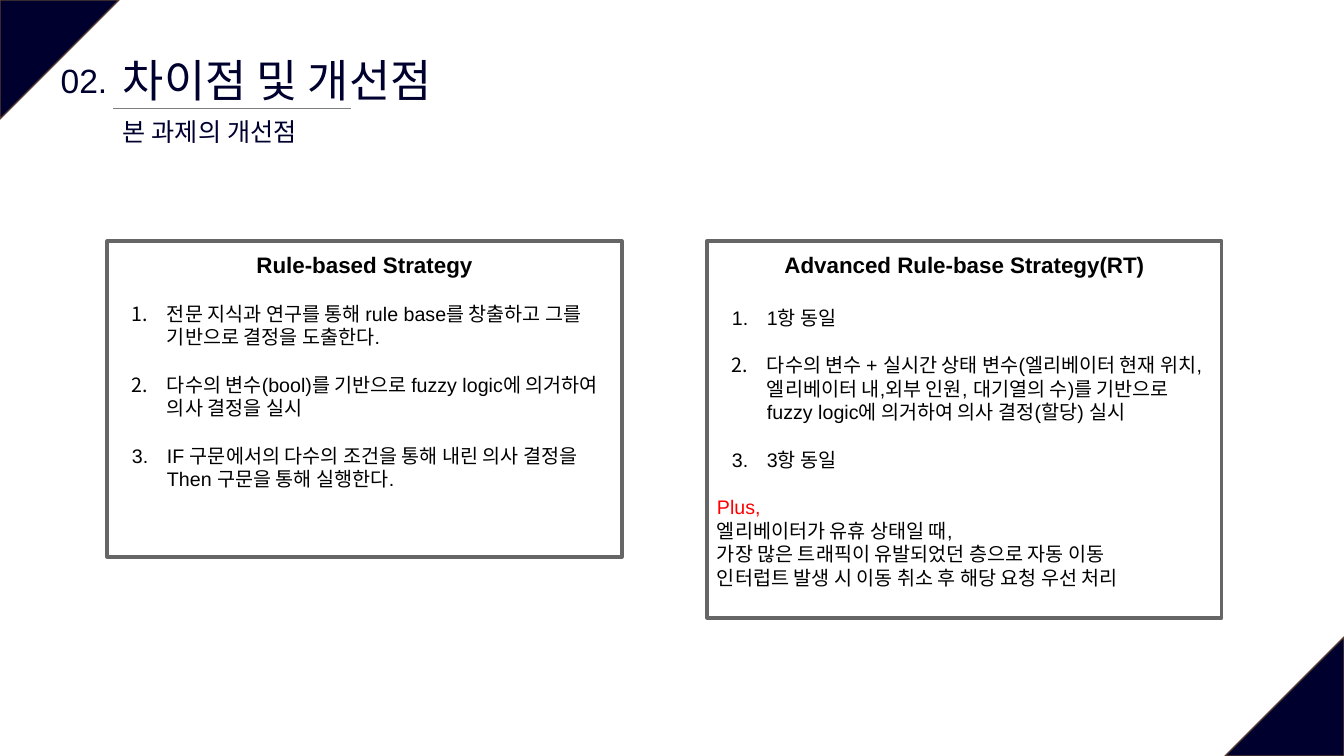
from dataclasses import dataclass

from lxml.etree import SubElement
from pptx import Presentation
from pptx.dml.color import RGBColor
from pptx.enum.shapes import MSO_CONNECTOR, MSO_SHAPE
from pptx.enum.text import MSO_ANCHOR, PP_ALIGN
from pptx.oxml.ns import qn
from pptx.util import Emu, Pt

NUMBER = "02."
TITLE = "차이점 및 개선점"
SUBTITLE = "본 과제의 개선점"
STRATEGIES = [
    {
        "heading": "Rule-based Strategy",
        "height": 316,
        "heading_gap": 17,
        "rules": [
            "전문 지식과 연구를 통해 rule base를 창출하고 그를 기반으로 결정을 도출한다.",
            "다수의 변수(bool)를 기반으로 fuzzy logic에 의거하여 의사 결정을 실시",
            "IF 구문에서의 다수의 조건을 통해 내린 의사 결정을 Then 구문을 통해 실행한다.",
        ],
        "plus": [],
    },
    {
        "heading": "Advanced Rule-base Strategy(RT)",
        "height": 377,
        "heading_gap": 20,
        "rules": [
            "1항 동일",
            "다수의 변수 + 실시간 상태 변수(엘리베이터 현재 위치, 엘리베이터 내,외부 인원, "
            "대기열의 수)를 기반으로 fuzzy logic에 의거하여 의사 결정(할당) 실시",
            "3항 동일",
        ],
        "plus": [
            "Plus,",
            "엘리베이터가 유휴 상태일 때,",
            "가장 많은 트래픽이 유발되었던 층으로 자동 이동",
            "인터럽트 발생 시 이동 취소 후 해당 요청 우선 처리",
        ],
    },
]


@dataclass(frozen=True)
class Theme:
    font: str = "Arial"
    navy: str = "00002F"
    corner_edge: str = "5B3F33"
    underline: str = "7F7F7F"
    frame: str = "666666"
    ink: str = "000000"
    accent: str = "FF0000"
    title: int = 32
    number: int = 24
    subtitle: int = 18
    heading: int = 16
    body: int = 14
    gap: int = 17


THEME = Theme()
SLIDE_W, SLIDE_H = 1344, 756
CORNER = 119
TITLE_X, TITLE_W = 113, 558
PANEL_X, PANEL_Y, PANEL_W, PANEL_STEP = 107, 241, 515, 600
RULE_MARGIN, RULE_HANG = 50, -35


def px(length):
    return Emu(round(length * 12192000 / SLIDE_W))


def color(code):
    return RGBColor.from_string(code)


def style(paragraph, text, size, ink, bold=False, align=PP_ALIGN.LEFT, before=0):
    paragraph.text = text
    paragraph.alignment = align
    paragraph.space_before = Pt(before)
    font = paragraph.font
    font.name, font.size, font.bold = THEME.font, Pt(size), bold
    font.color.rgb = color(ink)


def set_frame(frame, inset_y):
    frame.word_wrap = True
    frame.vertical_anchor = MSO_ANCHOR.TOP
    frame.margin_left = frame.margin_right = px(10)
    frame.margin_top = frame.margin_bottom = px(inset_y)


def add_label(slide, box, text, size, align=PP_ALIGN.LEFT):
    label = slide.shapes.add_textbox(*map(px, box)).text_frame
    set_frame(label, 5)
    style(label.paragraphs[0], text, size, THEME.navy, align=align)


def add_corner(slide, x, y, rotation):
    corner = slide.shapes.add_shape(
        MSO_SHAPE.ISOSCELES_TRIANGLE, px(x), px(y), px(CORNER), px(CORNER))
    corner.adjustments[0] = 0
    corner.rotation = rotation
    corner.shadow.inherit = False
    corner.fill.solid()
    corner.fill.fore_color.rgb = color(THEME.navy)
    corner.line.color.rgb = color(THEME.corner_edge)
    corner.line.width = Pt(1)


def add_underline(slide):
    underline = slide.shapes.add_connector(
        MSO_CONNECTOR.STRAIGHT, px(113), px(109), px(351), px(109))
    underline.line.color.rgb = color(THEME.underline)
    underline.line.width = Pt(0.75)
    SubElement(underline._element.spPr, qn("a:effectLst"))


def number_rule(paragraph):
    properties = paragraph._p.get_or_add_pPr()
    properties.set("marL", str(px(RULE_MARGIN)))
    properties.set("indent", str(px(RULE_HANG)))
    bullet_color = SubElement(properties, qn("a:buClr"))
    SubElement(bullet_color, qn("a:srgbClr"), val=THEME.ink)
    bullet_font = SubElement(properties, qn("a:buFont"), typeface=THEME.font)
    bullet = SubElement(properties, qn("a:buAutoNum"), type="arabicPeriod")
    run_defaults = properties.find(qn("a:defRPr"))
    for part in (bullet_color, bullet_font, bullet):
        run_defaults.addprevious(part)


def add_panel(slide, x, strategy):
    panel = slide.shapes.add_shape(
        MSO_SHAPE.RECTANGLE, px(x), px(PANEL_Y), px(PANEL_W), px(strategy["height"]))
    panel.shadow.inherit = False
    panel.fill.background()
    panel.line.color.rgb = color(THEME.frame)
    panel.line.width = Pt(2.25)
    content = panel.text_frame
    set_frame(content, 10)
    style(content.paragraphs[0], strategy["heading"], THEME.heading, THEME.ink,
          bold=True, align=PP_ALIGN.CENTER)
    for index, rule in enumerate(strategy["rules"]):
        paragraph = content.add_paragraph()
        before = THEME.gap if index else strategy["heading_gap"]
        style(paragraph, rule, THEME.body, THEME.ink, before=before)
        number_rule(paragraph)
    for index, line in enumerate(strategy["plus"]):
        ink, before = (THEME.ink, 0) if index else (THEME.accent, THEME.gap)
        style(content.add_paragraph(), line, THEME.body, ink, before=before)


def main():
    deck = Presentation()
    deck.slide_width, deck.slide_height = px(SLIDE_W), px(SLIDE_H)
    slide = deck.slides.add_slide(deck.slide_layouts[6])
    add_corner(slide, 0, 0, 90)
    add_corner(slide, SLIDE_W - CORNER, SLIDE_H - CORNER, 270)
    add_underline(slide)
    add_label(slide, (TITLE_X, 48, TITLE_W, 65), TITLE, THEME.title)
    add_label(slide, (50, 55, 68, 50), NUMBER, THEME.number, PP_ALIGN.CENTER)
    add_label(slide, (TITLE_X, 111, TITLE_W, 42), SUBTITLE, THEME.subtitle)
    for index, strategy in enumerate(STRATEGIES):
        add_panel(slide, PANEL_X + index * PANEL_STEP, strategy)
    deck.save("out.pptx")


if __name__ == "__main__":
    main()
